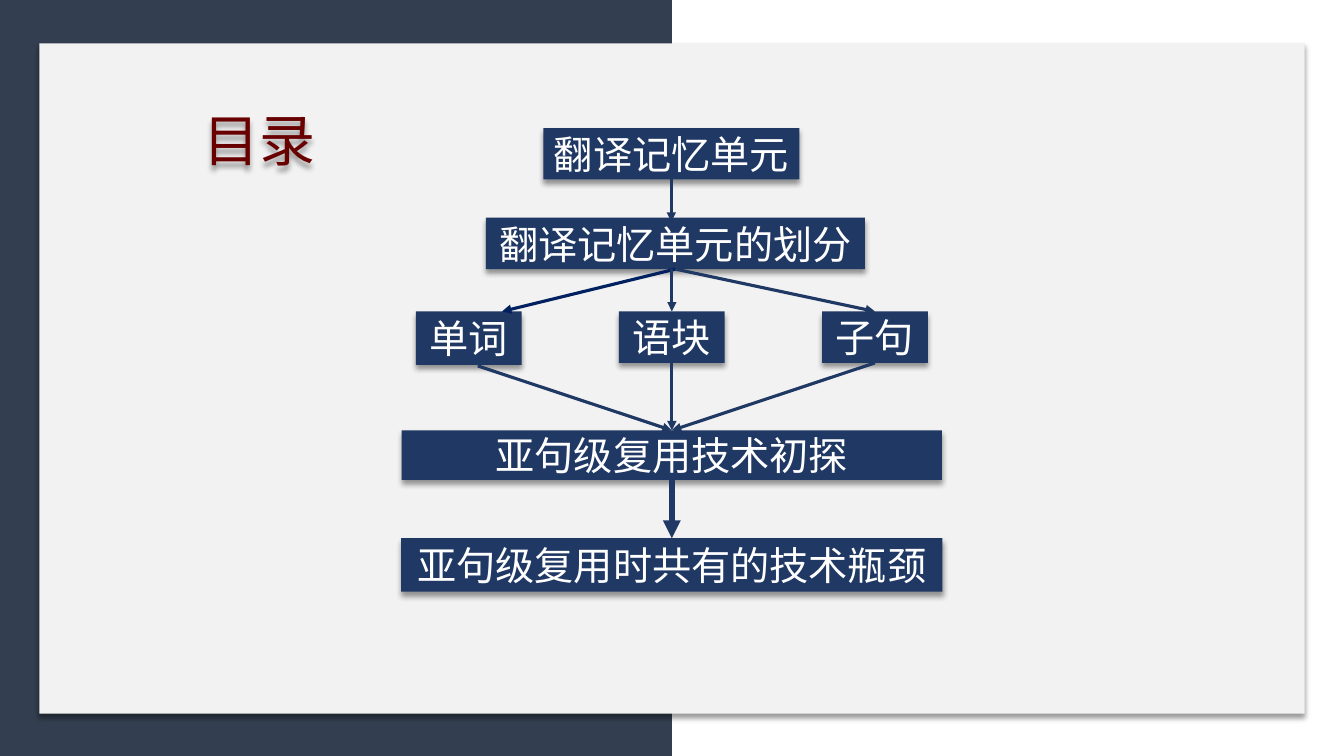
from lxml.etree import SubElement
from pptx import Presentation
from pptx.dml.color import RGBColor
from pptx.enum.shapes import MSO_CONNECTOR, MSO_SHAPE
from pptx.enum.text import MSO_ANCHOR, PP_ALIGN
from pptx.oxml import parse_xml
from pptx.oxml.ns import nsdecls, qn
from pptx.util import Inches, Pt

CELL = Inches(0.1)
COLUMNS, ROWS = 133.33, 75
FONT = "Noto Sans CJK SC"
SLATE = RGBColor(0x33, 0x3F, 0x50)
PAPER = RGBColor(0xF2, 0xF2, 0xF2)
NAVY = RGBColor(0x20, 0x38, 0x64)
DEEP_BLUE = RGBColor(0x00, 0x20, 0x60)
MAROON = RGBColor(0x68, 0x00, 0x00)
WHITE = RGBColor(0xFF, 0xFF, 0xFF)
BOTTOM, TOP = 2, 0


def cells(*counts):
    """Turn counts of grid cells into lengths."""
    return [round(count * CELL) for count in counts]


def add_shadow(shape):
    """Give a shape a soft shadow straight below it."""
    shape._element.spPr.append(parse_xml(
        f'<a:effectLst {nsdecls("a")}><a:outerShdw blurRad="{Pt(4)}" dist="{Pt(3)}" '
        'dir="5400000" algn="t" rotWithShape="0"><a:srgbClr val="000000">'
        '<a:alpha val="40000"/></a:srgbClr></a:outerShdw></a:effectLst>'))


def add_rectangle(page, box, color, shadowed=True):
    """Add a plain filled rectangle."""
    shape = page.shapes.add_shape(MSO_SHAPE.RECTANGLE, *cells(*box))
    shape.fill.solid()
    shape.fill.fore_color.rgb = color
    shape.line.fill.background()
    if shadowed:
        add_shadow(shape)
    else:
        shape.shadow.inherit = False
    return shape


def write(shape, text, size, color, align):
    """Write one line of text into a shape."""
    para = shape.text_frame.paragraphs[0]
    para.alignment = align
    span = para.add_run()
    span.text = text
    span.font.size = Pt(size)
    span.font.color.rgb = color
    span.font.name = FONT
    SubElement(span._r.get_or_add_rPr(), qn("a:ea"), typeface=FONT)


def add_arrow(page, start, end, color=NAVY, width=2.25):
    """Draw an arrow from a shape's bottom or a point to a shape's top or a point."""
    link = page.shapes.add_connector(
        MSO_CONNECTOR.STRAIGHT,
        *(start if isinstance(start, list) else (0, 0)),
        *(end if isinstance(end, list) else (0, 0)))
    if not isinstance(start, list):
        link.begin_connect(start, BOTTOM)
    if not isinstance(end, list):
        link.end_connect(end, TOP)
    link.line.color.rgb = color
    link.line.width = Pt(width)
    SubElement(link.line._get_or_add_ln(), qn("a:tailEnd"), type="triangle")
    SubElement(link._element.spPr, qn("a:effectLst"))


def draw_backdrop(page, box):
    """Draw the dark left half and the light panel."""
    left, top, width, height = box
    add_rectangle(page, (left, top, width / 2, height), SLATE, shadowed=False)
    add_rectangle(page, (left + 3.9, top + 4.3, width - 7.8, height - 8.5), PAPER)


def draw_title(page, box):
    """Draw the slide title."""
    title = page.shapes.add_textbox(*cells(*box))
    title.text_frame.word_wrap = True
    write(title, "目录", 40, MAROON, PP_ALIGN.LEFT)
    add_shadow(title)


def draw_flow(page, box):
    """Draw the flow chart of topics."""
    left, top, width, height = box
    axis, branch_gap, branch_row = width / 2, 20.15, 18.2

    def point(column, row):
        return cells(left + column, top + row)

    def node(text, center, row, columns, rows):
        shape = add_rectangle(
            page, (left + center - columns / 2, top + row, columns, rows), NAVY)
        frame = shape.text_frame
        frame.word_wrap = True
        frame.margin_left = frame.margin_right = Inches(0.05)
        frame.margin_top = frame.margin_bottom = 0
        frame.vertical_anchor = MSO_ANCHOR.MIDDLE
        write(shape, text, 28, WHITE, PP_ALIGN.CENTER)
        return shape

    unit = node("翻译记忆单元", axis - 0.05, 0, 25.4, 5.1)
    division = node("翻译记忆单元的划分", axis + 0.35, 8.9, 37.6, 5.1)
    word, chunk, clause = [
        node(text, axis + step * branch_gap, branch_row, 10.5, rows)
        for text, step, rows in (("单词", -1, 5.3), ("语块", 0, 5.1), ("子句", 1, 5.1))]
    bottleneck = node("亚句级复用时共有的技术瓶颈", axis, height - 5.3, width, 5.3)
    study = node("亚句级复用技术初探", axis, 30, width - 0.1, 4.9)

    add_arrow(page, division, point(10, branch_row), DEEP_BLUE)
    add_arrow(page, point(axis, 14), chunk)
    add_arrow(page, division, clause)
    add_arrow(page, clause, study)
    add_arrow(page, chunk, study)
    add_arrow(page, point(7.6, 23.6), study)
    add_arrow(page, study, bottleneck, width=4.25)
    add_arrow(page, unit, point(axis - 0.05, 9.3))


def main():
    """Build the deck and save it."""
    deck = Presentation()
    deck.slide_width, deck.slide_height = cells(COLUMNS, ROWS)
    page = deck.slides.add_slide(deck.slide_layouts[6])
    draw_backdrop(page, (0, 0, COLUMNS, ROWS))
    draw_title(page, (19.2, 10, 28.2, 7.7))
    draw_flow(page, (39.8, 12.7, 53.7, 46))
    deck.save("out.pptx")


if __name__ == "__main__":
    main()
